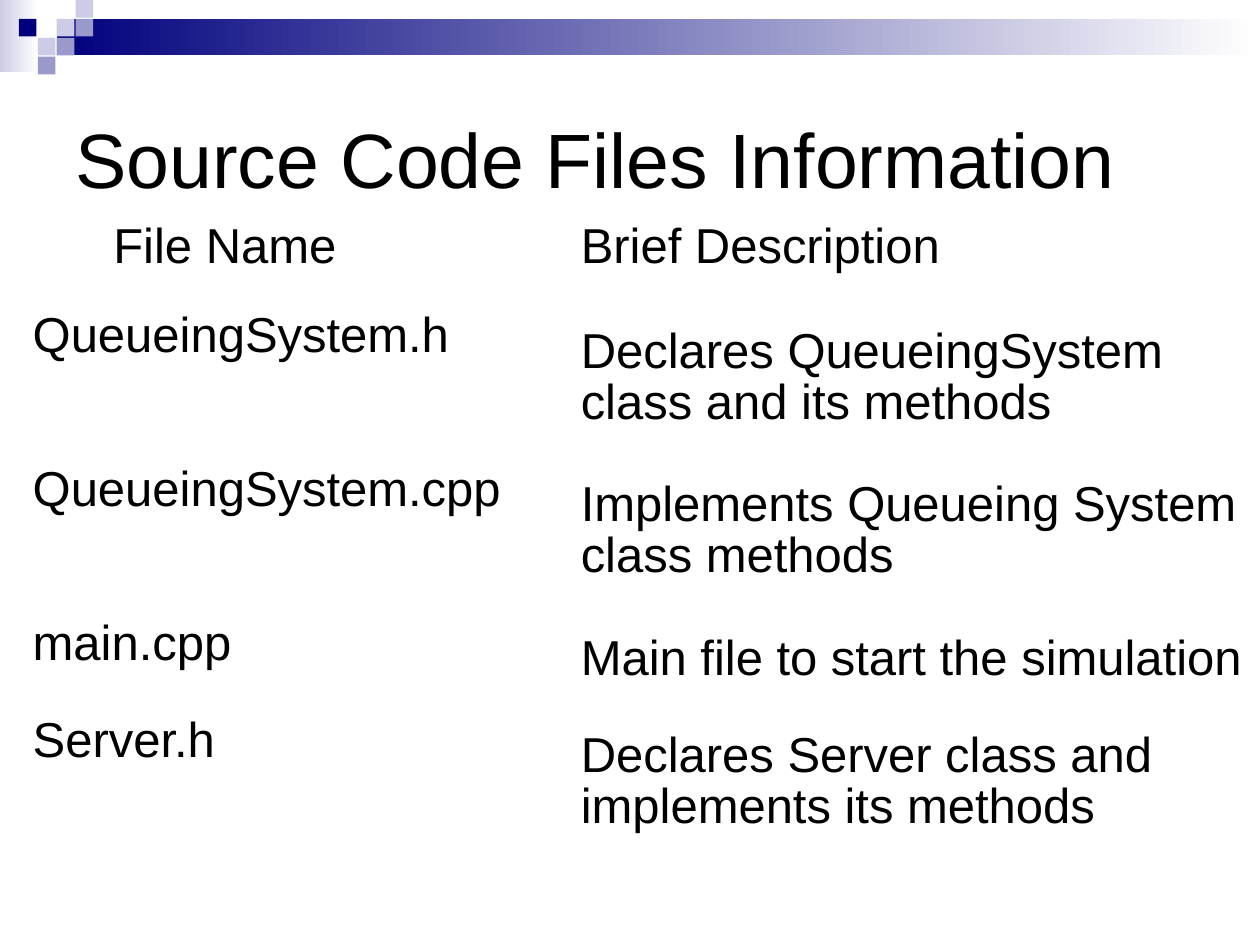
from dataclasses import dataclass

from lxml.etree import SubElement
from pptx import Presentation
from pptx.dml.color import RGBColor as Color
from pptx.enum.shapes import MSO_SHAPE as Shape
from pptx.enum.text import MSO_ANCHOR as Anchor
from pptx.oxml.ns import qn
from pptx.util import Inches, Pt


@dataclass(frozen=True)
class Theme:
    font: str = "Arial"
    title_size: int = 44
    table_size: int = 28
    text: str = "000000"
    white: str = "FFFFFF"
    navy: str = "00007D"
    lavender: str = "CCCCE6"
    periwinkle: str = "9999CC"


THEME = Theme()
HEADER = ("File Name", "Brief Description")
FILES = [
    ("QueueingSystem.h", "Declares QueueingSystem class and its methods"),
    ("QueueingSystem.cpp", "Implements Queueing System class methods"),
    ("main.cpp", "Main file to start the simulation"),
    ("Server.h", "Declares Server class and implements its methods"),
]
COLUMN_WIDTHS = (4.35, 5.45)
ROW_HEIGHTS = (0.71, 1.22, 1.22, 0.77, 1.6)
SQUARES = [
    (3, 1, THEME.lavender),
    (4, 0, THEME.lavender),
    (4, 1, THEME.periwinkle),
    (2, 2, THEME.lavender),
    (1, 1, THEME.navy),
    (3, 2, THEME.periwinkle),
    (2, 3, THEME.periwinkle),
]


def format_text(paragraph, size):
    for run in paragraph.runs:
        run.font.name = THEME.font
        run.font.size = Pt(size)
        run.font.bold = False
        run.font.color.rgb = Color.from_string(THEME.text)


def add_block(slide, left, top, width, height, *colors):
    block = slide.shapes.add_shape(
        Shape.RECTANGLE, Inches(left), Inches(top), Inches(width), Inches(height)
    )
    block.shadow.inherit = False
    block.line.fill.background()
    if len(colors) == 1:
        block.fill.solid()
        block.fill.fore_color.rgb = Color.from_string(colors[0])
    else:
        block.fill.gradient()
        block.fill.gradient_angle = 0
        for stop, color in zip(block.fill.gradient_stops, colors):
            stop.color.rgb = Color.from_string(color)


def add_banner(slide, left, top, width):
    pitch, side = 0.15, 0.14
    add_block(slide, left, top, 0.3, 0.57, THEME.lavender, THEME.white)
    add_block(slide, left + 3 * pitch, top + pitch, width - 3 * pitch, 0.29,
              THEME.navy, THEME.white)
    for column, row, color in SQUARES:
        add_block(slide, left + column * pitch, top + row * pitch, side, side, color)


def add_title(slide, left, top, width, height):
    title = slide.shapes.add_textbox(
        Inches(left), Inches(top), Inches(width), Inches(height)
    )
    frame = title.text_frame
    frame.word_wrap = True
    frame.vertical_anchor = Anchor.MIDDLE
    frame.text = "Source Code Files Information"
    format_text(frame.paragraphs[0], THEME.title_size)


def clear_cell(cell):
    properties = cell._tc.get_or_add_tcPr()
    for edge in ("a:lnL", "a:lnR", "a:lnT", "a:lnB"):
        border = SubElement(properties, qn(edge), w="0")
        SubElement(border, qn("a:noFill"))
    cell.fill.background()


def add_file_table(slide, left, top, width, height):
    rows = [HEADER, *FILES]
    table = slide.shapes.add_table(
        len(rows), len(HEADER),
        Inches(left), Inches(top), Inches(width), Inches(height),
    ).table
    table.first_row = False
    table.horz_banding = False
    for column, column_width in zip(table.columns, COLUMN_WIDTHS):
        column.width = Inches(column_width)
    for row, row_height in zip(table.rows, ROW_HEIGHTS):
        row.height = Inches(row_height)
    for row_index, texts in enumerate(rows):
        for column_index, text in enumerate(texts):
            cell = table.cell(row_index, column_index)
            clear_cell(cell)
            cell.text_frame.text = text
            paragraph = cell.text_frame.paragraphs[0]
            is_description = row_index > 0 and column_index == 1
            paragraph.line_spacing = 0.93 if is_description else 0.58
            format_text(paragraph, THEME.table_size)
    table.cell(0, 0).margin_left = Inches(0.74)


def main():
    presentation = Presentation()
    presentation.slide_width = Inches(10)
    presentation.slide_height = Inches(7.5)
    slide = presentation.slides.add_slide(presentation.slide_layouts[6])
    add_banner(slide, 0, 0, 9.98)
    add_title(slide, 0.5, 0.5, 9, 1.5)
    add_file_table(slide, 0.16, 1.84, sum(COLUMN_WIDTHS), sum(ROW_HEIGHTS))
    presentation.save("out.pptx")


if __name__ == "__main__":
    main()
